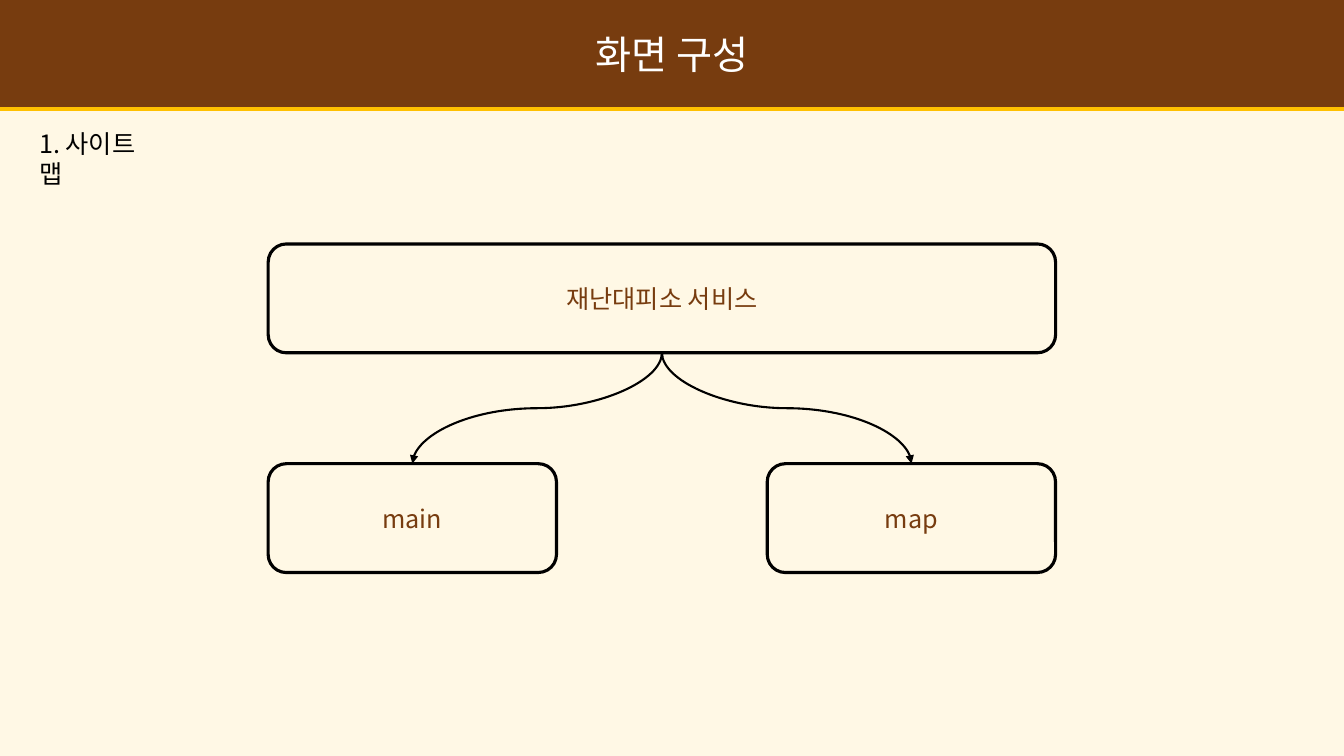
from lxml import etree
from pptx import Presentation
from pptx.dml.color import RGBColor
from pptx.enum import shapes, text
from pptx.oxml import ns
from pptx.util import Inches, Pt

TITLE = "화면 구성"
HEADING = "1. 사이트 맵"
SERVICE = "재난대피소 서비스"
PAGES = ["main", "map"]

BROWN = RGBColor(0x77, 0x3C, 0x0F)
CREAM = RGBColor(0xFF, 0xF8, 0xE5)
WHITE = RGBColor(0xFF, 0xFF, 0xFF)
BLACK = RGBColor(0, 0, 0)
GOLD = "FFC000"
FONT = "Noto Sans CJK KR"

SLIDE_W, SLIDE_H = Inches(13.33), Inches(7.5)
BANNER_H = Inches(1.06)
MAP_LEFT, MAP_W = Inches(2.66), Inches(7.81)
SERVICE_TOP, PAGE_TOP = Inches(2.42), Inches(4.6)
PAGE_W, BOX_H = Inches(2.86), Inches(1.08)


def add_child(parent, tag, **attributes):
    child = etree.SubElement(parent, ns.qn(tag))
    for key, value in attributes.items():
        child.set(key, str(value))
    return child


def write(shape, words, size, color, align=text.PP_ALIGN.CENTER):
    paragraph = shape.text_frame.paragraphs[0]
    paragraph.alignment = align
    run = paragraph.add_run()
    run.text = words
    for key, value in {"name": FONT, "size": Pt(size)}.items():
        setattr(run.font, key, value)
    run.font.color.rgb = color
    add_child(run.font._element, "a:ea", typeface=FONT)


def add_banner(slide):
    banner = slide.shapes.add_shape(shapes.MSO_SHAPE.RECTANGLE, 0, 0, SLIDE_W, BANNER_H)
    banner.fill.solid()
    banner.fill.fore_color.rgb = BROWN
    banner.line.fill.background()
    effects = add_child(banner._element.spPr, "a:effectLst")
    shadow = add_child(effects, "a:outerShdw", dist=Pt(3), dir=5400000,
                       algn="t", rotWithShape=0)
    add_child(shadow, "a:srgbClr", val=GOLD)
    banner.text_frame.vertical_anchor = text.MSO_ANCHOR.MIDDLE
    write(banner, TITLE, 28, WHITE)


def add_heading(slide):
    heading = slide.shapes.add_textbox(Inches(0.29), Inches(1.22), Inches(1.4), Inches(0.4))
    heading.text_frame.word_wrap = True
    heading.text_frame.auto_size = text.MSO_AUTO_SIZE.SHAPE_TO_FIT_TEXT
    write(heading, HEADING, 18, BLACK, text.PP_ALIGN.LEFT)


def add_box(slide, words, left, top, width):
    box = slide.shapes.add_shape(
        shapes.MSO_SHAPE.ROUNDED_RECTANGLE, left, top, width, BOX_H)
    box.shadow.inherit = False
    box.fill.background()
    box.line.color.rgb = BLACK
    box.line.width = Pt(2.25)
    box.text_frame.vertical_anchor = text.MSO_ANCHOR.MIDDLE
    write(box, words, 18, BROWN)
    return box


def add_branch(slide, parent, child):
    """Curved arrow leaving the parent's bottom and entering the child's top vertically."""
    x1, y1 = parent.left + parent.width // 2, parent.top + parent.height
    x2, y2 = child.left + child.width // 2, child.top
    branch = slide.shapes.add_connector(shapes.MSO_CONNECTOR.CURVE, x1, y1, x2, y2)
    branch.begin_connect(parent, 2)
    branch.end_connect(child, 0)

    # A quarter turn swaps width and height around the same centre.
    across, down = abs(x2 - x1), y2 - y1
    frame = {"left": (x1 + x2 - down) // 2, "top": (y1 + y2 - across) // 2,
             "width": down, "height": across}
    for key, value in frame.items():
        setattr(branch, key, value)
    to_right = x2 > x1
    turn = {"rot": 270 if to_right else 90, "flipH": int(to_right), "flipV": 0}
    turn["rot"] *= 60000
    for key, value in turn.items():
        branch._element.spPr.xfrm.set(key, str(value))

    branch.line.color.rgb = BLACK
    branch.line.width = Pt(1.5)
    add_child(branch.line._get_or_add_ln(), "a:tailEnd", type="triangle")
    add_child(branch._element.spPr, "a:effectLst")


def main():
    deck = Presentation()
    deck.slide_width, deck.slide_height = SLIDE_W, SLIDE_H
    slide = deck.slides.add_slide(deck.slide_layouts[6])
    slide.background.fill.solid()
    slide.background.fill.fore_color.rgb = CREAM

    add_banner(slide)
    add_heading(slide)
    service = add_box(slide, SERVICE, MAP_LEFT, SERVICE_TOP, MAP_W)
    step = (MAP_W - PAGE_W) // (len(PAGES) - 1)
    pages = [add_box(slide, words, MAP_LEFT + i * step, PAGE_TOP, PAGE_W)
             for i, words in enumerate(PAGES)]
    for page in pages:
        add_branch(slide, service, page)
    deck.save("out.pptx")


if __name__ == "__main__":
    main()
